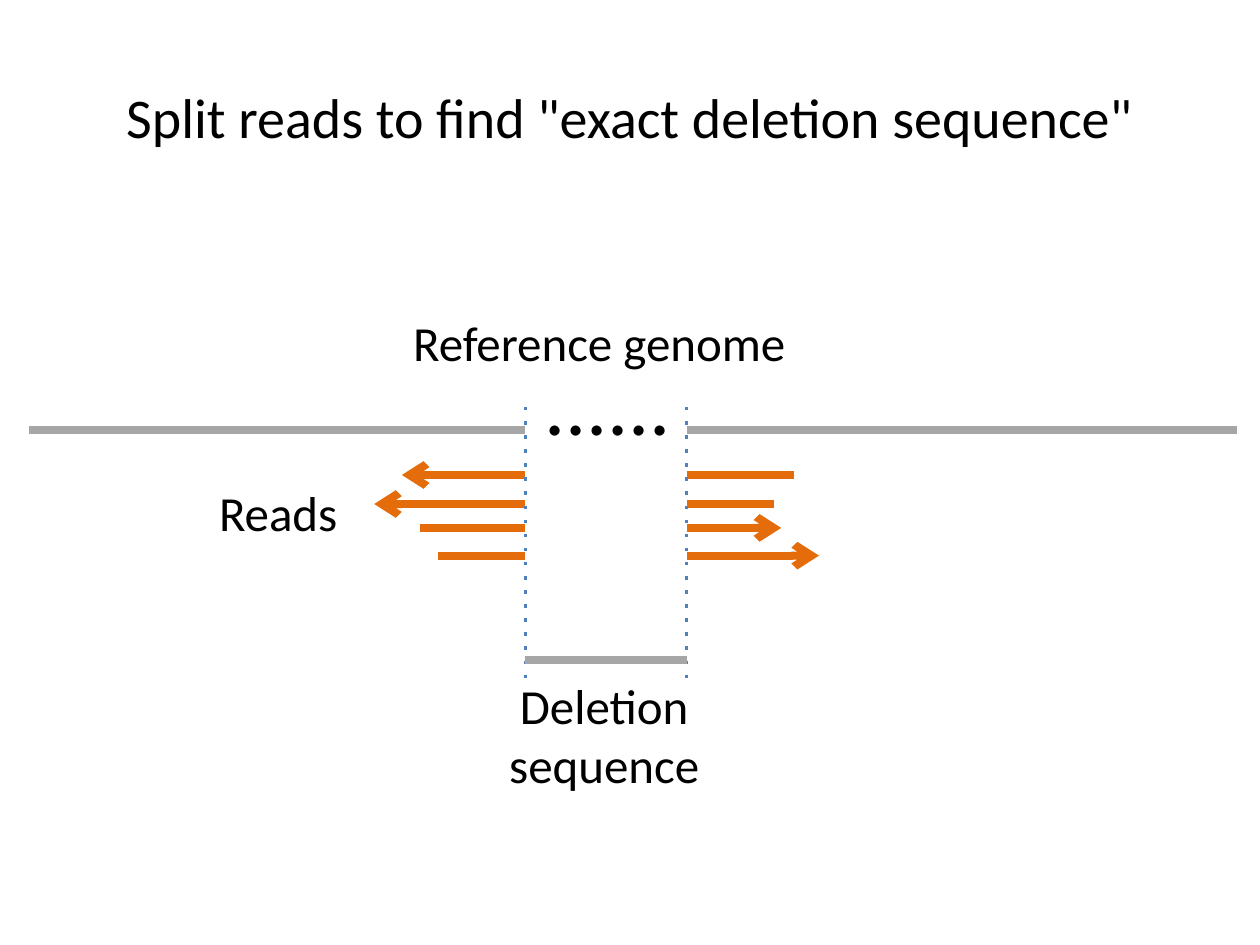
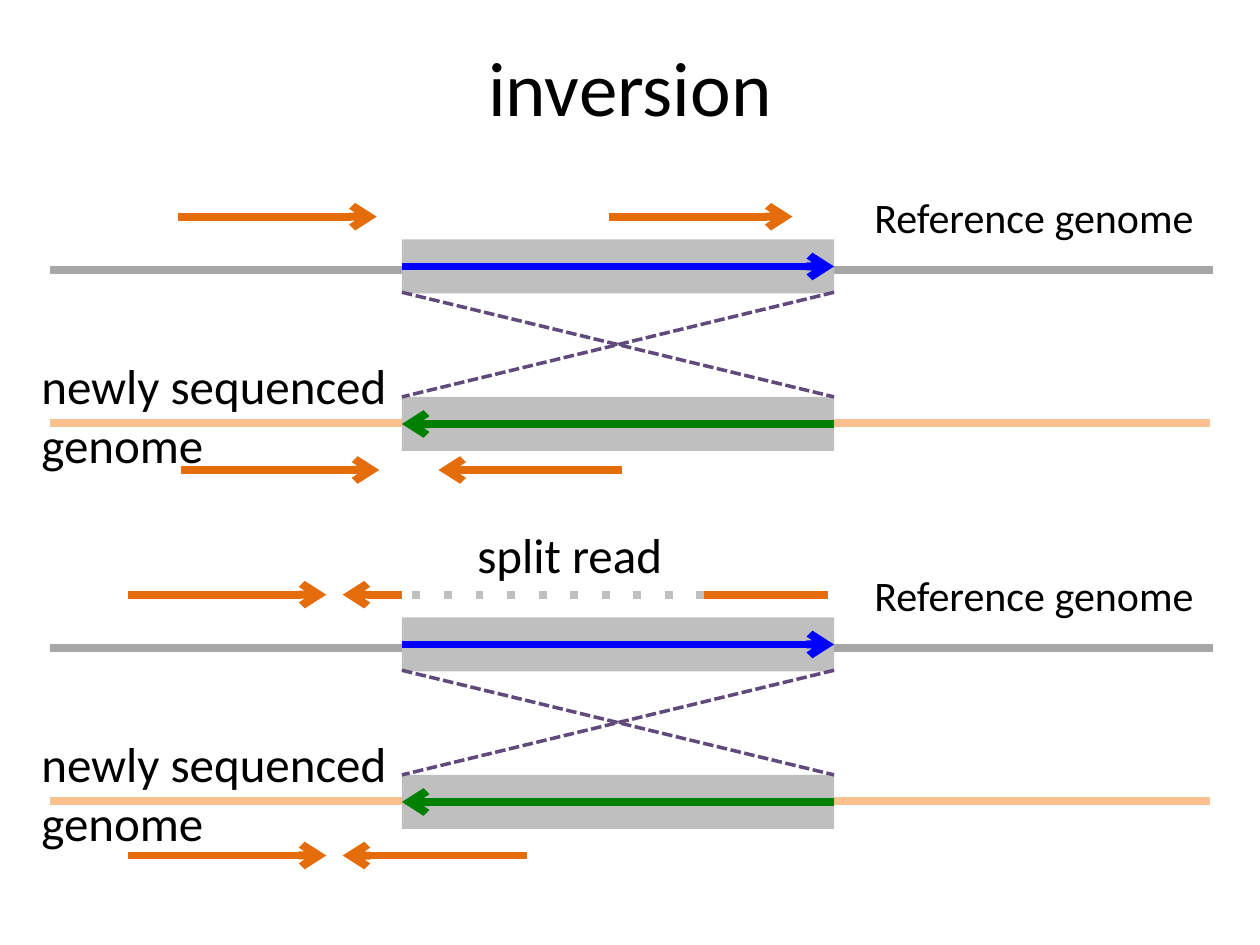
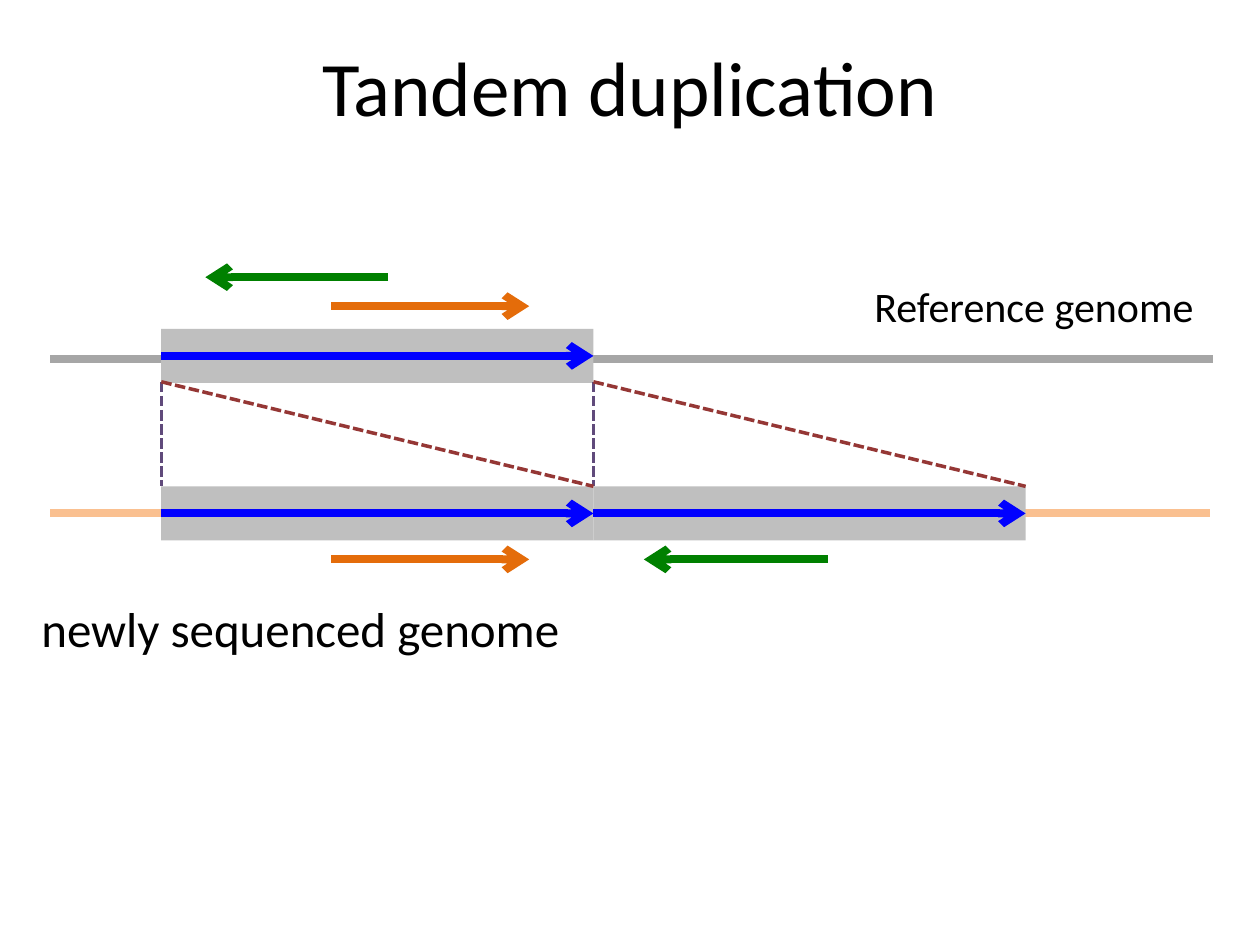
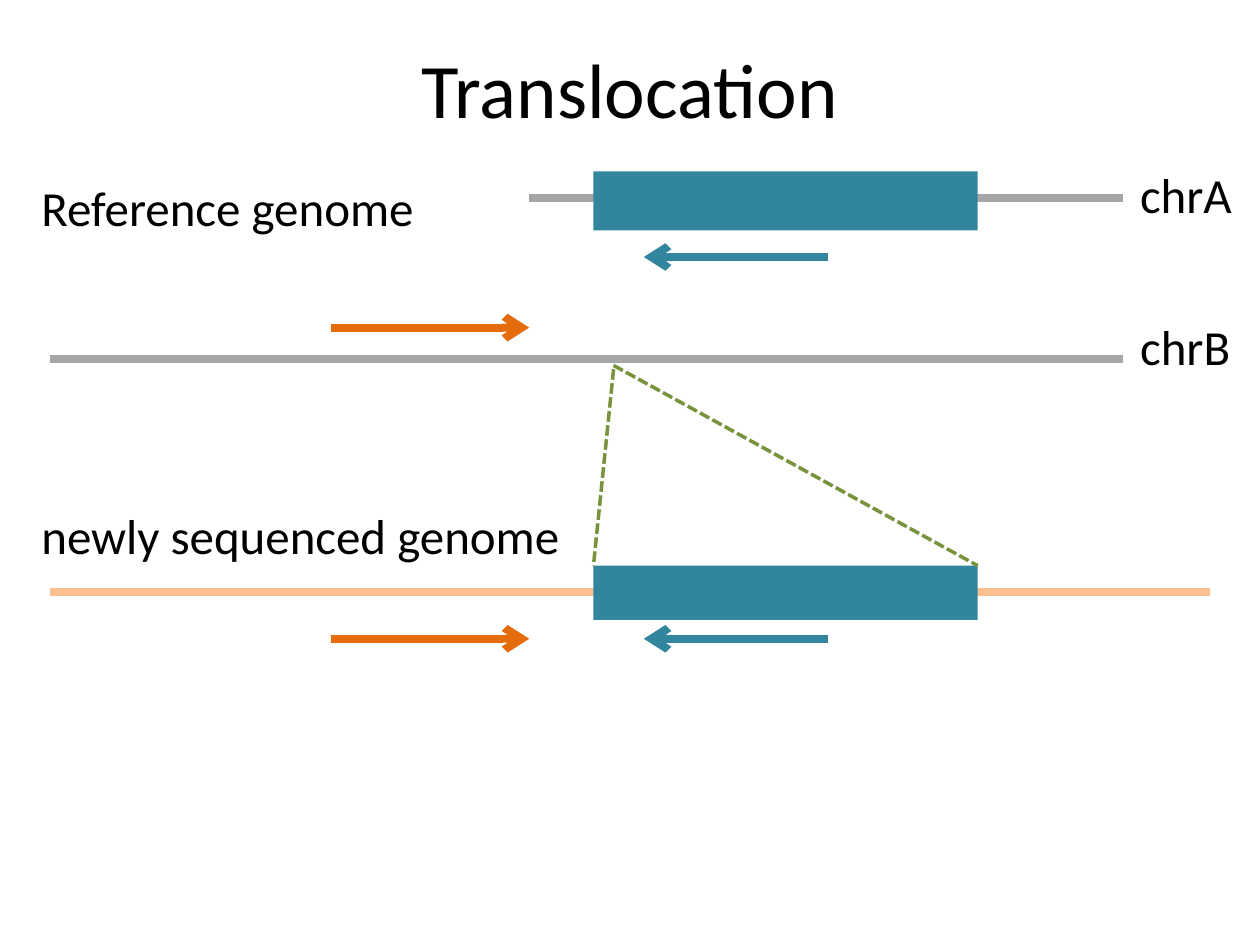
from lxml.etree import SubElement
from pptx import Presentation
from pptx.dml.color import RGBColor
from pptx.enum.shapes import MSO_CONNECTOR, MSO_SHAPE
from pptx.enum.text import MSO_ANCHOR, MSO_AUTO_SIZE, PP_ALIGN
from pptx.oxml.ns import qn
from pptx.util import Inches, Pt

BLACK = RGBColor(0x00, 0x00, 0x00)
GRAY = RGBColor(0xA6, 0xA6, 0xA6)
SILVER = RGBColor(0xBF, 0xBF, 0xBF)
ORANGE = RGBColor(0xE4, 0x6C, 0x0A)
PEACH = RGBColor(0xFA, 0xC0, 0x90)
BLUE = RGBColor(0x00, 0x00, 0xFF)
STEEL = RGBColor(0x4F, 0x81, 0xBD)
GREEN = RGBColor(0x00, 0x80, 0x00)
OLIVE = RGBColor(0x77, 0x93, 0x3C)
PURPLE = RGBColor(0x60, 0x4A, 0x7B)
MAROON = RGBColor(0x95, 0x37, 0x35)
TEAL = RGBColor(0x31, 0x85, 0x9C)

LEFT, CENTER = PP_ALIGN.LEFT, PP_ALIGN.CENTER
SOLID = {"width": 4.5}
READ = {"width": 4.5, "arrow": True}
GAP = {"width": 4.5, "dash": "dot"}
BREAK = {"width": 2, "dash": "dot"}
LINK = {"width": 2, "dash": "sysDash"}


def add_line(s, x1, y1, x2, y2, color, style):
    sp = s.shapes.add_connector(MSO_CONNECTOR.STRAIGHT, Inches(x1), Inches(y1), Inches(x2), Inches(y2))
    sp.line.width = Pt(style["width"])
    sp.line.color.rgb = color
    spPr = sp._element.spPr
    ln = spPr.find(qn("a:ln"))
    if "dash" in style:
        SubElement(ln, qn("a:prstDash"), val=style["dash"])
    if "arrow" in style:
        SubElement(ln, qn("a:tailEnd"), type="arrow")
    SubElement(spPr, qn("a:effectLst"))
    return sp


def add_text(s, text, x, y, w, h, size, align=LEFT, wrap=False, anchor=MSO_ANCHOR.TOP, fit=MSO_AUTO_SIZE.SHAPE_TO_FIT_TEXT):
    tf = s.shapes.add_textbox(Inches(x), Inches(y), Inches(w), Inches(h)).text_frame
    frame = {"word_wrap": wrap, "vertical_anchor": anchor, "auto_size": fit}
    for name, value in frame.items():
        setattr(tf, name, value)
    p = tf.paragraphs[0]
    p.alignment = align
    r = p.add_run()
    r.text = text
    for name, value in {"name": "Calibri", "size": Pt(size)}.items():
        setattr(r.font, name, value)
    r.font.color.rgb = BLACK


x1, x2 = 4.17, 5.45
deletion = {
    "title": ('Split reads to find "exact deletion sequence"', 1.25, 32),
    "genomes": [(0.23, 3.41, x1, 3.41, GRAY), (x2, 3.41, 9.82, 3.41, GRAY)],
    "boxes": [],
    "lines": [
        (x2, 4.41, 6.5, 4.41, ORANGE, READ),
        (x1, 3.77, 3.19, 3.77, ORANGE, READ),
        (x2, 3.77, 6.3, 3.77, ORANGE, SOLID),
        (x1, 4, 2.97, 4, ORANGE, READ),
        (x2, 4, 6.14, 4, ORANGE, SOLID),
        (x2, 4.19, 6.2, 4.19, ORANGE, READ),
        (3.33, 4.19, x1, 4.19, ORANGE, SOLID),
        (3.48, 4.41, x1, 4.41, ORANGE, SOLID),
        (x1, 3.23, x1, 5.45, STEEL, BREAK),
        (x2, 3.23, x2, 5.45, STEEL, BREAK),
        (x1, 5.24, x2, 5.24, GRAY, SOLID),
    ],
    "labels": [
        ("......", 4.22, 2.74, 1.22, 0.91, 48),
        ("Reference genome ", 3, 2.43, 3.6, 0.57, 28, CENTER, True),
        ("Deletion sequence", 3.87, 5.31, 1.85, 1.04, 28, CENTER, True),
        ("Reads", 1.64, 3.78, 1.33, 0.57, 28, LEFT, True),
    ],
}

x1, x2 = 3.19, 6.62
inversion = {
    "title": ("inversion", 0.76, 44),
    "genomes": [],
    "boxes": [],
    "lines": [
        (1.44, 3.73, 3.01, 3.73, ORANGE, READ),
        (4.94, 3.73, 3.48, 3.73, ORANGE, READ),
        (1.41, 1.72, 2.99, 1.72, ORANGE, READ),
        (4.83, 1.72, 6.29, 1.72, ORANGE, READ),
        (1.02, 4.72, 2.59, 4.72, ORANGE, READ),
        (6.57, 4.72, 5.59, 4.72, ORANGE, SOLID),
        (x1, 4.72, 2.72, 4.72, ORANGE, READ),
        (5.59, 4.72, x1, 4.72, SILVER, GAP),
        (1.02, 6.79, 2.59, 6.79, ORANGE, READ),
        (4.18, 6.79, 2.72, 6.79, ORANGE, READ),
    ],
    "labels": [("split read", 3.69, 4.11, 1.69, 0.57, 28)],
}
for dy in (0, 3):
    inversion["genomes"] += [(0.4, 3.36 + dy, 9.6, 3.36 + dy, PEACH), (0.4, 2.14 + dy, 9.63, 2.14 + dy, GRAY)]
    inversion["boxes"] += [
        (x1, 1.9 + dy, 3.43, 0.43, SILVER, BLUE, (1, 3)),
        (x1, 3.15 + dy, 3.43, 0.43, SILVER, GREEN, (3, 1)),
    ]
    inversion["lines"] += [
        (x2, 2.32 + dy, x1, 3.15 + dy, PURPLE, LINK),
        (x1, 2.32 + dy, x2, 3.15 + dy, PURPLE, LINK),
    ]
    inversion["labels"] += [
        ("Reference genome", 6.84, 1.47 + dy, 2.79, 0.5, 24),
        ("newly sequenced genome", 0.23, 2.77 + dy, 3.25, 1.04, 28, LEFT, True),
    ]

x1, x2, x3 = 1.28, 4.71, 8.14
duplication = {
    "title": ("Tandem duplication", 0.76, 44),
    "genomes": [(0.4, 4.07, 9.6, 4.07, PEACH), (0.4, 2.85, 9.63, 2.85, GRAY)],
    "boxes": [
        (x, y, 3.43, 0.43, SILVER, BLUE, (1, 3))
        for x, y in ((x1, 2.61), (x1, 3.86), (x2, 3.86))
    ],
    "lines": [
        (x2, 3.03, x2, 3.86, PURPLE, LINK),
        (x1, 3.03, x1, 3.86, PURPLE, LINK),
        (2.63, 4.44, 4.2, 4.44, ORANGE, READ),
        (6.57, 4.44, 5.11, 4.44, GREEN, READ),
        (2.63, 2.43, 4.2, 2.43, ORANGE, READ),
        (3.08, 2.2, 1.63, 2.2, GREEN, READ),
        (x1, 3.03, x2, 3.86, MAROON, LINK),
        (x2, 3.03, x3, 3.86, MAROON, LINK),
    ],
    "labels": [
        ("Reference genome", 6.84, 2.18, 2.79, 0.5, 24),
        ("newly sequenced genome", 0.23, 4.7, 4.36, 0.57, 28),
    ],
}

x1, x2 = 4.71, 7.76
translocation = {
    "title": ("Translocation", 0.79, 44),
    "genomes": [
        (0.4, 4.7, 9.6, 4.7, PEACH),
        (0.4, 2.85, 8.91, 2.85, GRAY),
        (4.2, 1.57, 8.91, 1.57, GRAY),
    ],
    "boxes": [(x1, 4.49, 3.05, 0.43, TEAL, None, None), (x1, 1.36, 3.05, 0.47, TEAL, None, None)],
    "lines": [
        (2.63, 5.07, 4.2, 5.07, ORANGE, READ),
        (6.57, 5.07, 5.11, 5.07, TEAL, READ),
        (2.63, 2.6, 4.2, 2.6, ORANGE, READ),
        (6.57, 2.04, 5.11, 2.04, TEAL, READ),
        (4.87, 2.93, x1, 4.49, OLIVE, LINK),
        (4.87, 2.9, x2, 4.49, OLIVE, LINK),
    ],
    "labels": [
        ("Reference genome", 0.23, 1.36, 3.22, 0.57, 28),
        ("chrA", 8.95, 1.26, 0.94, 0.57, 28),
        ("chrB", 8.95, 2.46, 0.92, 0.57, 28),
        ("newly sequenced genome", 0.23, 3.96, 4.36, 0.57, 28),
    ],
}

prs = Presentation()
prs.slide_width, prs.slide_height = Inches(10), Inches(7.5)

for content in (deletion, inversion, duplication, translocation):
    s = prs.slides.add_slide(prs.slide_layouts[6])
    title, height, size = content["title"]
    add_text(s, title, 0.5, 0.3, 9, height, size, CENTER, True, MSO_ANCHOR.MIDDLE, MSO_AUTO_SIZE.NONE)
    for genome in content["genomes"]:
        add_line(s, *genome, SOLID)
    for x, y, w, h, fill, strand, sides in content["boxes"]:
        sp = s.shapes.add_shape(MSO_SHAPE.RECTANGLE, Inches(x), Inches(y), Inches(w), Inches(h))
        sp.shadow.inherit = False
        sp.fill.solid()
        sp.fill.fore_color.rgb = fill
        sp.line.fill.background()
        if strand:
            arrow = add_line(s, x, y + h / 2, x + w, y + h / 2, strand, READ)
            arrow.begin_connect(sp, sides[0])
            arrow.end_connect(sp, sides[1])
    for line in content["lines"]:
        add_line(s, *line)
    for label in content["labels"]:
        add_text(s, *label)

prs.save("out.pptx")
